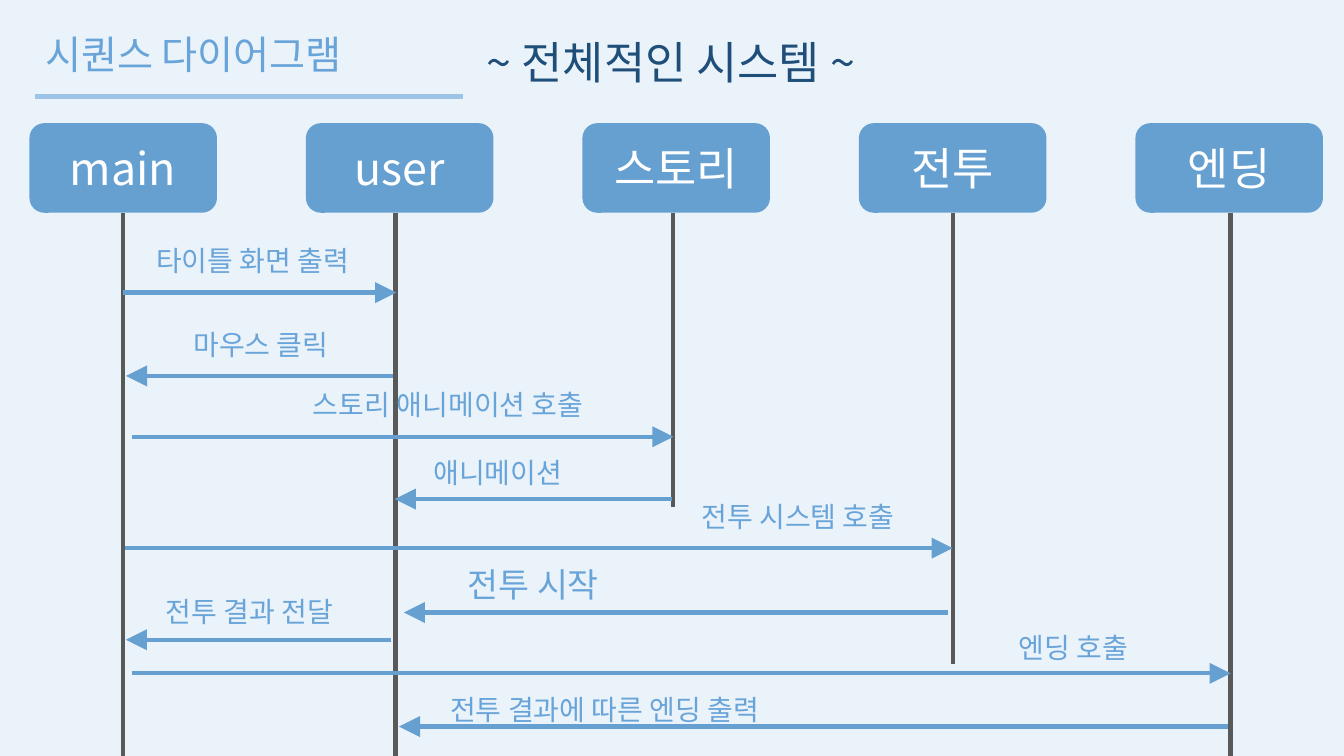
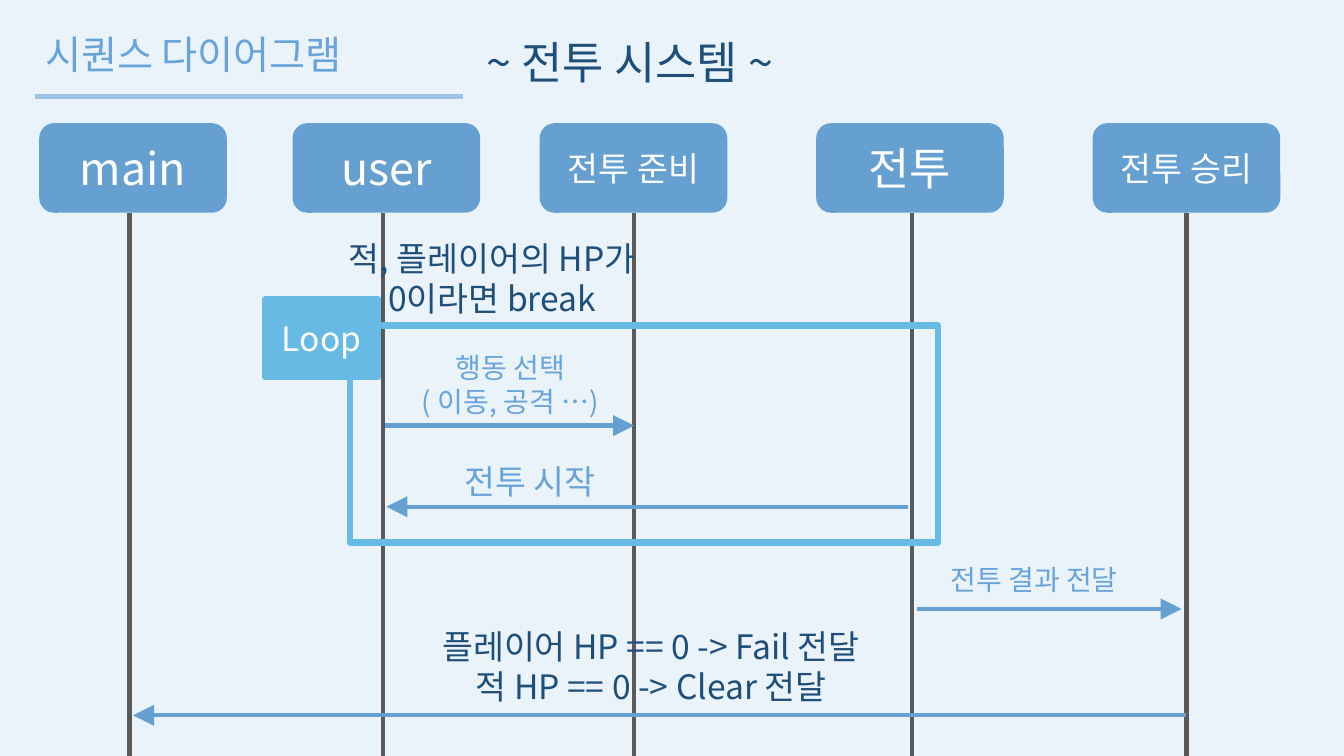
import pptx
import pptx.dml.color
import pptx.enum.shapes
import pptx.enum.text
import pptx.oxml
import pptx.oxml.ns
import pptx.util

Pt = pptx.util.Pt
RGB = pptx.dml.color.RGBColor
SHAPE = pptx.enum.shapes.MSO_SHAPE
ALIGN = pptx.enum.text.PP_ALIGN
ANCHOR = pptx.enum.text.MSO_ANCHOR
qn = pptx.oxml.ns.qn

FONT = "Noto Sans CJK KR"
PALE = RGB(0xEA, 0xF2, 0xFA)
BLUE = RGB(0x65, 0xA0, 0xD1)
SOFT = RGB(0x69, 0xA4, 0xD9)
RULE = RGB(0x9D, 0xC3, 0xE6)
NAVY = RGB(0x1F, 0x4E, 0x79)
GREY = RGB(0x59, 0x59, 0x59)
SKY = RGB(0x66, 0xBA, 0xE4)
WHITE = RGB(0xFF, 0xFF, 0xFF)

HEAD_TOP, HEAD_W, HEAD_H = 88, 134, 64
FOOT = 540


class Deck:
    """Holds the shared style and the current slide."""

    def __init__(self):
        self.prs = pptx.Presentation()
        self.prs.slide_width, self.prs.slide_height = Pt(960), Pt(FOOT)
        fill = self.prs.slide_master.background.fill
        fill.solid()
        fill.fore_color.rgb = PALE
        self.slide = None

    def page(self, topic):
        """New slide with title, rule and topic."""
        self.slide = self.prs.slides.add_slide(self.prs.slide_layouts[5])
        title = self.slide.shapes.title
        title.left, title.top = Pt(25), Pt(18)
        title.width, title.height = Pt(240), Pt(41)
        self.letter(title, "시퀀스 다이어그램", 28, SOFT)
        self.line(25, 69, 331, 69, RULE)
        self.label(topic, 340.5, 21, 306, 32, NAVY)

    def letter(self, shape, text, size, ink, align=ALIGN.LEFT, anchor=ANCHOR.TOP):
        frame = shape.text_frame
        frame.text = text
        frame.word_wrap = True
        frame.auto_size = pptx.enum.text.MSO_AUTO_SIZE.NONE
        frame.vertical_anchor = anchor
        for para in frame.paragraphs:
            para.alignment = align
            for run in para.runs:
                run.font.name = FONT
                run.font.size = Pt(size)
                run.font.color.rgb = ink
                east = pptx.oxml.parse_xml(
                    '<a:ea xmlns:a="http://schemas.openxmlformats.org/'
                    f'drawingml/2006/main" typeface="{FONT}"/>')
                run.font._element.find(qn("a:latin")).addnext(east)

    def label(self, text, left, top, width, size=20, ink=SOFT, align=ALIGN.LEFT):
        rows = text.count("\n") + 1
        box = self.slide.shapes.add_textbox(
            Pt(left), Pt(top), Pt(width), Pt(rows * size * 1.2 + 8))
        self.letter(box, text, size, ink, align)

    def line(self, x1, y1, x2, y2, ink, tip=False):
        link = self.slide.shapes.add_connector(
            pptx.enum.shapes.MSO_CONNECTOR.STRAIGHT, Pt(x1), Pt(y1), Pt(x2), Pt(y2))
        link.line.color.rgb = ink
        link.line.width = Pt(3)
        props = link._element.spPr
        if tip:
            stroke = props.find(qn("a:ln"))
            stroke.append(stroke.makeelement(
                qn("a:tailEnd"), {"type": "triangle", "w": "lg", "len": "lg"}))
        props.append(props.makeelement(qn("a:effectLst"), {}))

    def box(self, kind, left, top, width, height, fill=None, edge=None):
        shape = self.slide.shapes.add_shape(
            kind, Pt(left), Pt(top), Pt(width), Pt(height))
        shape.shadow.inherit = False
        if fill is None:
            shape.fill.background()
        else:
            shape.fill.solid()
            shape.fill.fore_color.rgb = fill
        if edge is None:
            shape.line.fill.background()
        else:
            shape.line.color.rgb = edge
            shape.line.width = Pt(4.5)
        return shape

    def actor(self, name, left, axis, end=FOOT, size=32):
        """Head box with its lifeline."""
        head = self.box(SHAPE.ROUNDED_RECTANGLE, left, HEAD_TOP, HEAD_W, HEAD_H, BLUE)
        self.letter(head, name, size, WHITE, ALIGN.CENTER, ANCHOR.MIDDLE)
        self.line(axis, HEAD_TOP + HEAD_H, axis, end, GREY)

    def call(self, x1, x2, y):
        """Arrow from one lifeline to another."""
        self.line(x1, y, x2, y, BLUE, tip=True)


def whole(deck):
    deck.page("~ 전체적인 시스템 ~")

    # Actors at an even pitch: name, axis, end of lifeline
    actors = [("main", 88, FOOT), ("user", 282.5, FOOT), ("스토리", 481, 362),
              ("전투", 680.5, 474), ("엔딩", 879, FOOT)]
    for i, (name, axis, end) in enumerate(actors):
        deck.actor(name, 21 + 197.5 * i, axis, end)

    # Calls: from, to, height, then label with left, top, size
    calls = [
        (88, 283, 209, "타이틀 화면 출력", 104.5, 170.5, 20),
        (281, 90, 268.5, "마우스 클릭", 131, 230.5, 20),
        (94, 481, 312, "스토리 애니메이션 호출", 216.5, 273.5, 20),
        (480, 282, 356.5, "애니메이션", 302.5, 322, 20),
        (89, 680.5, 391.5, "전투 시스템 호출", 494, 353.5, 20),
        (677.5, 288.5, 437.5, "전투 시작", 327, 399.5, 24),
        (279.5, 90, 457, "전투 결과 전달", 111.5, 421, 20),
        (94, 879, 481, "엔딩 호출", 720.5, 446.5, 20),
        (877, 285, 519, "전투 결과에 따른 엔딩 출력", 314.5, 491, 20),
    ]
    for x1, x2, y, text, left, top, size in calls:
        deck.call(x1, x2, y)
        deck.label(text, left, top, 239 if left > 700 else 269, size)


def battle(deck):
    deck.page("~ 전투 시스템 ~")

    # Actors: name, left, axis, size
    actors = [("main", 28, 92.5, 32), ("user", 209, 273.5, 32),
              ("전투 준비", 385.5, 453, 24), ("전투", 583, 651.5, 32),
              ("전투 승리", 780.5, 847.5, 24)]
    for name, left, axis, size in actors:
        deck.actor(name, left, axis, size=size)

    # Loop frame with tag
    deck.box(SHAPE.RECTANGLE, 250, 232.5, 420, 155, edge=SKY)
    tag = deck.box(SHAPE.RECTANGLE, 189.5, 214, 80.5, 55.5, SKY, SKY)
    deck.letter(tag, "Loop", 24, WHITE, ALIGN.CENTER, ANCHOR.MIDDLE)

    # Calls: from, to, height
    for x1, x2, y in [(275, 453, 304), (648.5, 276, 362),
                      (655, 844, 435), (847.5, 95, 511)]:
        deck.call(x1, x2, y)

    # Labels: text, left, top, width, size, ink
    labels = [
        ("적, 플레이어의 HP가\n0이라면 break", 217, 166.5, 269, 24, NAVY),
        ("행동 선택\n( 이동, 공격 …)", 250, 247, 229, 20, SOFT),
        ("전투 시작", 244, 326, 269, 24, SOFT),
        ("전투 결과 전달", 630, 398, 217.5, 20, SOFT),
        ("플레이어 HP == 0 -> Fail 전달\n적 HP == 0 -> Clear 전달",
         265, 443.5, 400, 24, NAVY),
    ]
    for item in labels:
        deck.label(*item, align=ALIGN.CENTER)


def main():
    deck = Deck()
    whole(deck)
    battle(deck)
    deck.prs.save("out.pptx")


if __name__ == "__main__":
    main()
